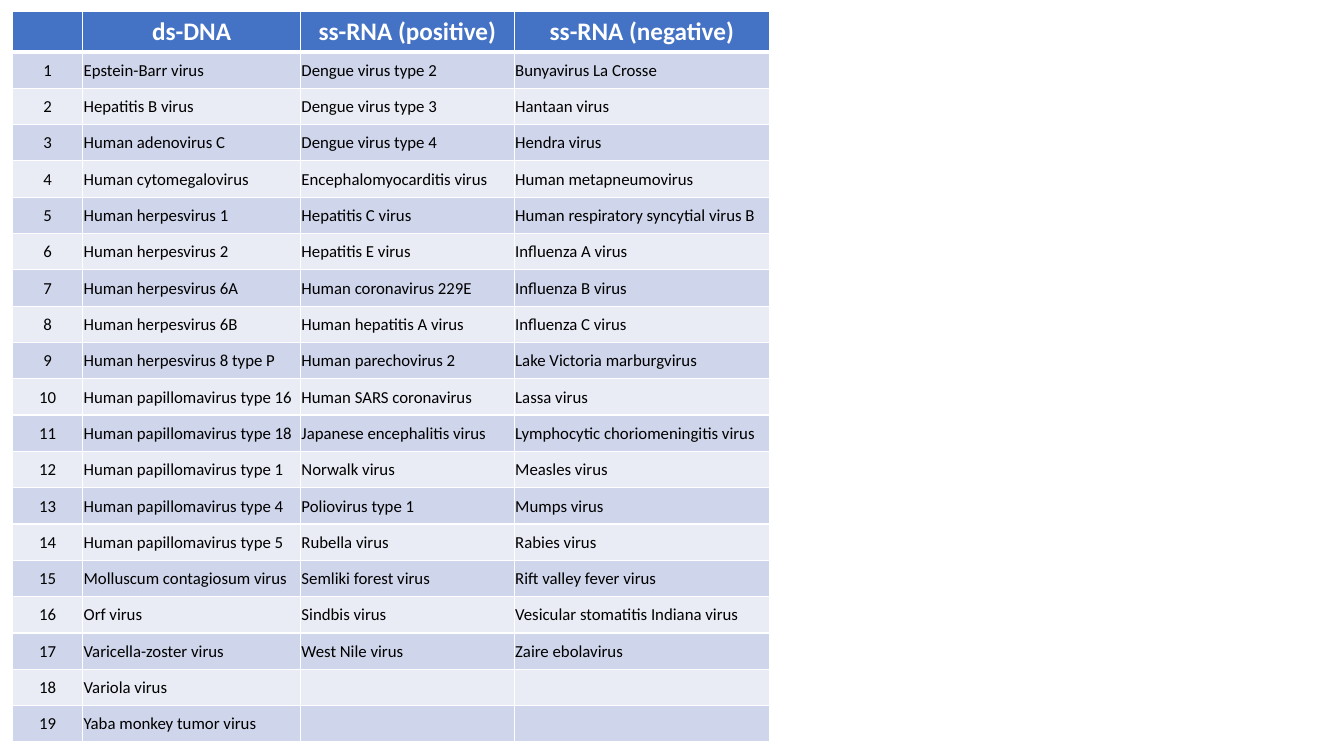
from dataclasses import dataclass
from itertools import zip_longest

from lxml import etree
from pptx import Presentation
from pptx import table as tables
from pptx import util as u
from pptx.dml import color
from pptx.enum import text
from pptx.oxml import ns

COLORS = {"header": "4472C4", "odd": "CFD5EA", "even": "E9EBF5",
          "white": "FFFFFF", "black": "000000"}
FONT = "Calibri"
LEFT, TOP = 8.9, 7.9
HEADER_HEIGHT, ROW_HEIGHT = 29.2, 25.94
COLUMN_WIDTHS = (50.2, 155.6, 152.7, 182.3)
THIN, THICK = 1, 3

VIRUSES = {
    "ds-DNA": (
        "Epstein-Barr virus", "Hepatitis B virus", "Human adenovirus C",
        "Human cytomegalovirus", "Human herpesvirus 1", "Human herpesvirus 2",
        "Human herpesvirus 6A", "Human herpesvirus 6B",
        "Human herpesvirus 8 type P", "Human papillomavirus type 16",
        "Human papillomavirus type 18", "Human papillomavirus type 1",
        "Human papillomavirus type 4", "Human papillomavirus type 5",
        "Molluscum contagiosum virus", "Orf virus", "Varicella-zoster virus",
        "Variola virus", "Yaba monkey tumor virus"),
    "ss-RNA (positive)": (
        "Dengue virus type 2", "Dengue virus type 3", "Dengue virus type 4",
        "Encephalomyocarditis virus", "Hepatitis C virus", "Hepatitis E virus",
        "Human coronavirus 229E", "Human hepatitis A virus",
        "Human parechovirus 2", "Human SARS coronavirus",
        "Japanese encephalitis virus", "Norwalk virus", "Poliovirus type 1",
        "Rubella virus", "Semliki forest virus", "Sindbis virus",
        "West Nile virus"),
    "ss-RNA (negative)": (
        "Bunyavirus La Crosse", "Hantaan virus", "Hendra virus",
        "Human metapneumovirus", "Human respiratory syncytial virus B",
        "Influenza A virus", "Influenza B virus", "Influenza C virus",
        "Lake Victoria marburgvirus", "Lassa virus",
        "Lymphocytic choriomeningitis virus", "Measles virus", "Mumps virus",
        "Rabies virus", "Rift valley fever virus",
        "Vesicular stomatitis Indiana virus", "Zaire ebolavirus"),
}


@dataclass(frozen=True)
class RowStyle:
    """Look shared by the cells of one row."""
    fill: str
    ink: str
    font: dict
    margins: dict
    top_line: float = THIN
    bottom_line: float = THIN


HEADER_FONT = {"name": FONT, "size": u.Pt(18), "bold": True}
BODY_FONT = {"name": FONT, "size": u.Pt(12), "bold": False}
BODY_MARGINS = {"margin_left": u.Pt(0.7), "margin_right": u.Pt(0.7),
                "margin_top": u.Pt(0.7), "margin_bottom": u.Pt(0)}


def set_values(target: object, values: dict) -> None:
    """Set each named attribute on the target."""
    for name, value in values.items():
        setattr(target, name, value)


def row_style(row: int) -> RowStyle:
    """Choose the header style or one of the two body bands."""
    if row == 0:
        return RowStyle("header", "white", HEADER_FONT, {}, bottom_line=THICK)
    return RowStyle("odd" if row % 2 else "even", "black", BODY_FONT,
                    BODY_MARGINS, top_line=THICK if row == 1 else THIN)


def add_borders(cell: tables._Cell, style: RowStyle) -> None:
    """Draw white lines on the four sides of a cell."""
    properties = cell._tc.get_or_add_tcPr()
    sides = {"L": THIN, "R": THIN, "T": style.top_line, "B": style.bottom_line}
    for side, width in sides.items():
        line = etree.SubElement(properties, ns.qn(f"a:ln{side}"),
                                w=str(u.Pt(width)))
        fill = etree.SubElement(line, ns.qn("a:solidFill"))
        etree.SubElement(fill, ns.qn("a:srgbClr"), val=COLORS["white"])


def fill_cell(cell: tables._Cell, content: str, style: RowStyle,
              centered: bool) -> None:
    """Style one cell and write its text."""
    add_borders(cell, style)
    cell.fill.solid()
    cell.fill.fore_color.rgb = color.RGBColor.from_string(COLORS[style.fill])
    set_values(cell, {"vertical_anchor": text.MSO_ANCHOR.MIDDLE,
                      **style.margins})
    if not content:
        return
    para = cell.text_frame.paragraphs[0]
    para.alignment = text.PP_ALIGN.CENTER if centered else text.PP_ALIGN.LEFT
    span = para.add_run()
    span.text = content
    set_values(span.font, style.font)
    span.font.color.rgb = color.RGBColor.from_string(COLORS[style.ink])


def add_virus_table(page) -> None:
    """Add the numbered table of viruses by genome type."""
    body = zip_longest(*VIRUSES.values(), fillvalue="")
    rows = [("", *VIRUSES)]
    rows += [(str(number), *names) for number, names in enumerate(body, 1)]
    heights = [HEADER_HEIGHT] + [ROW_HEIGHT] * (len(rows) - 1)
    frame = page.shapes.add_table(
        len(rows), len(COLUMN_WIDTHS), u.Pt(LEFT), u.Pt(TOP),
        u.Pt(sum(COLUMN_WIDTHS)), u.Pt(sum(heights)))
    grid = frame.table
    set_values(grid, {"first_row": False, "horz_banding": False})
    for column, width in zip(grid.columns, COLUMN_WIDTHS):
        column.width = u.Pt(width)
    for row, (contents, height) in enumerate(zip(rows, heights)):
        grid.rows[row].height = u.Pt(height)
        style = row_style(row)
        for column, content in enumerate(contents):
            fill_cell(grid.cell(row, column), content, style,
                      centered=row == 0 or column == 0)


deck = Presentation()
set_values(deck, {"slide_width": u.Pt(960), "slide_height": u.Pt(540)})
add_virus_table(deck.slides.add_slide(deck.slide_layouts[6]))
deck.save("out.pptx")
